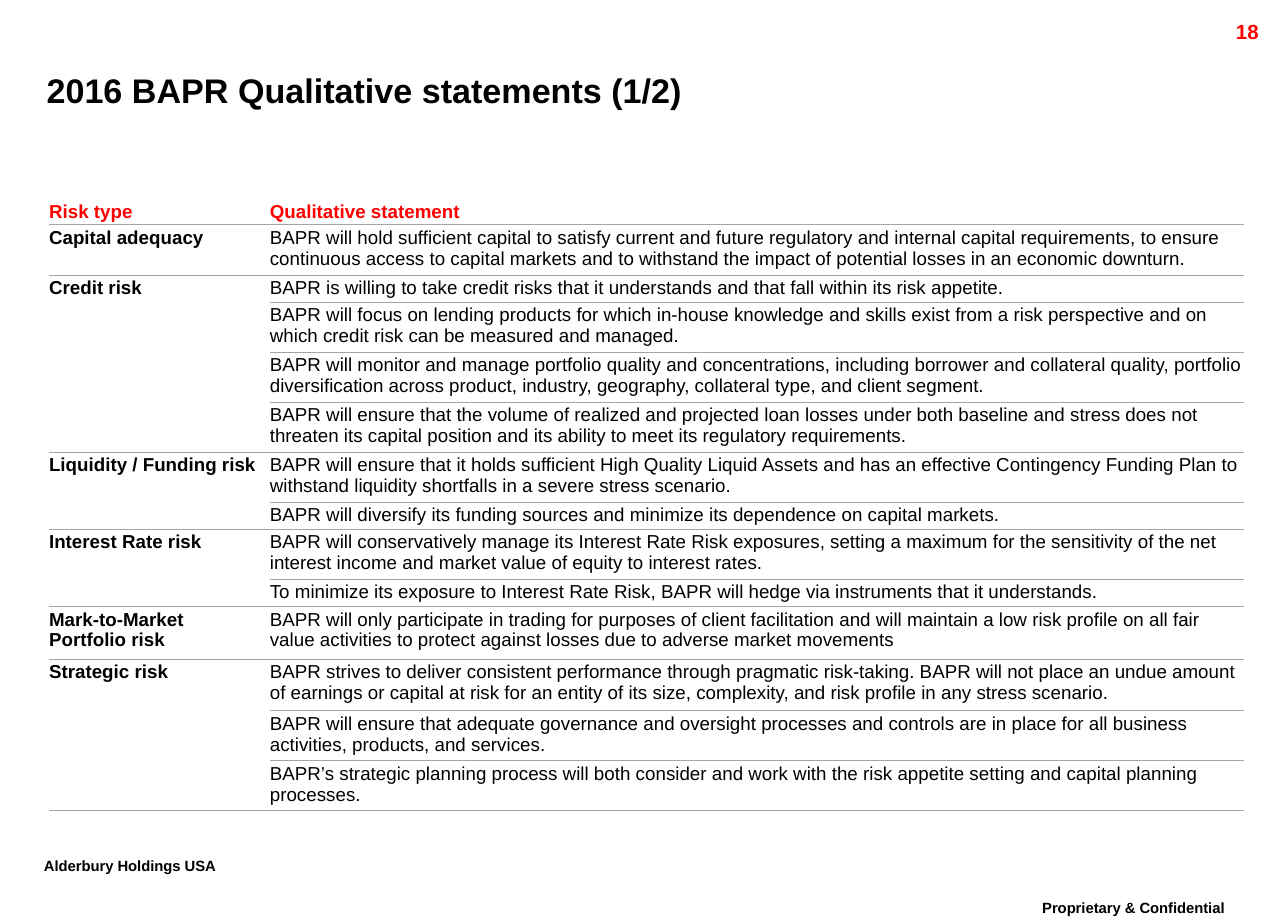
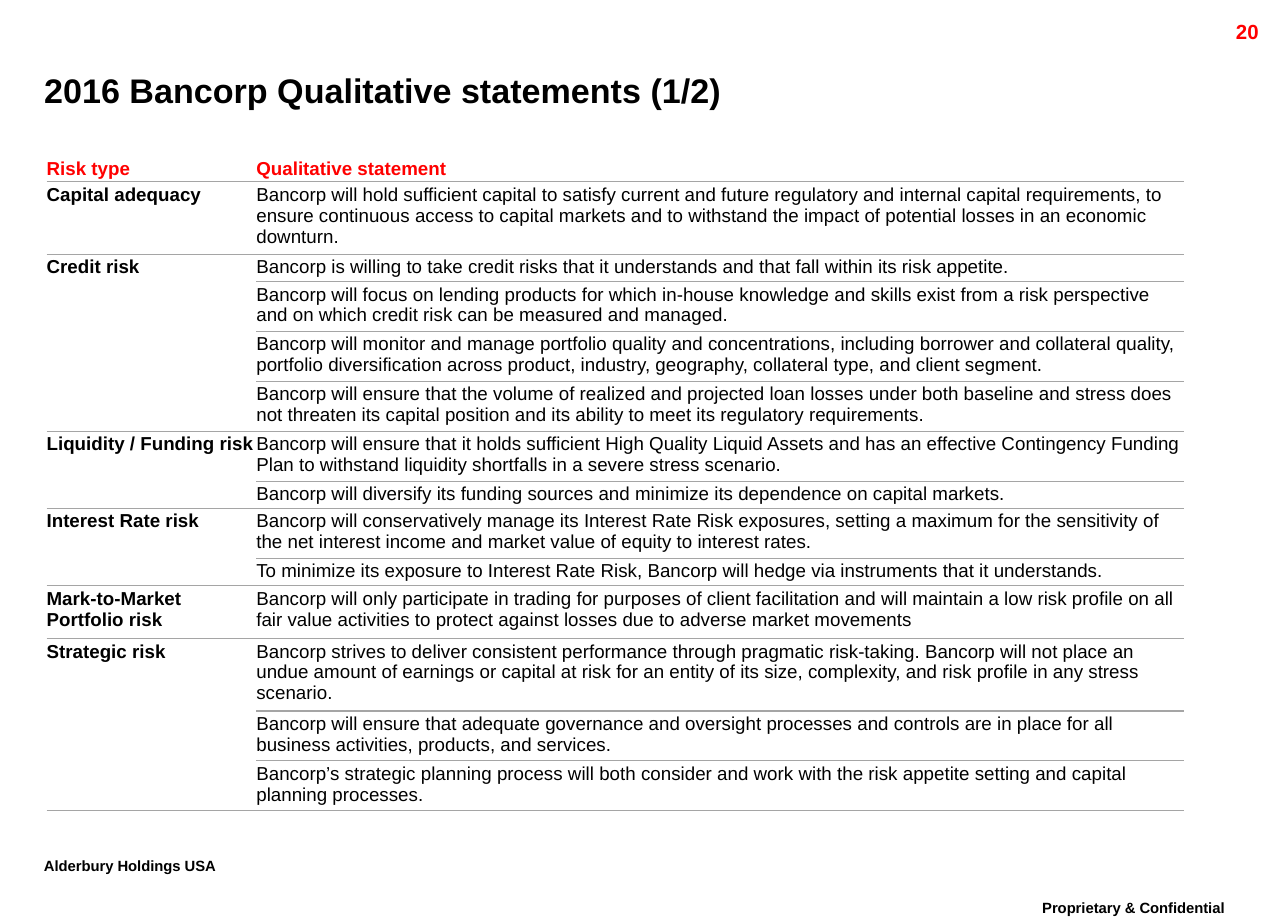
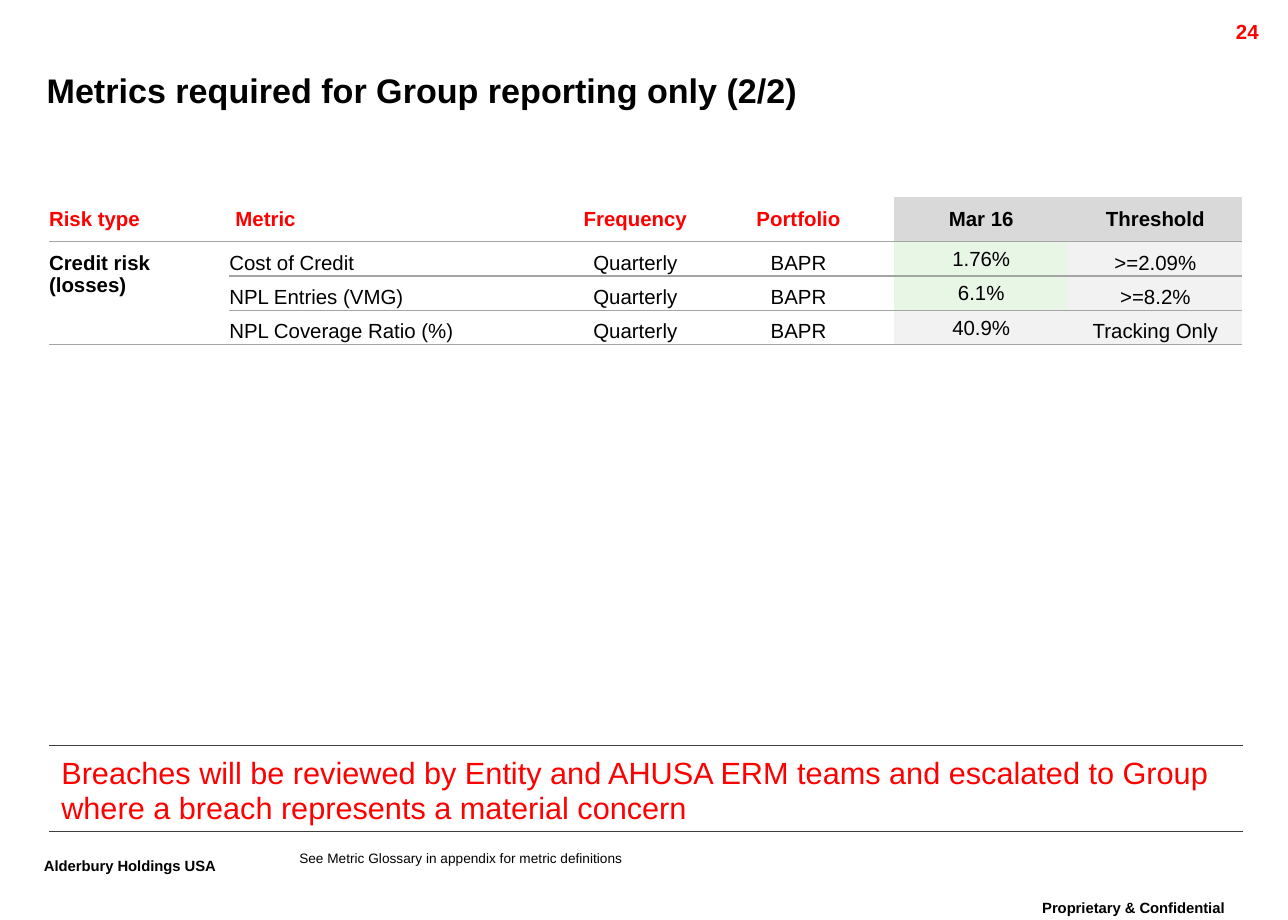
import pptx
import pptx.dml.color
import pptx.enum.text
import pptx.oxml
import pptx.util
from pptx.util import Inches

ALIGN = pptx.enum.text.PP_ALIGN
ANCHOR = pptx.enum.text.MSO_ANCHOR

FONT = "Arial"
BLACK, RED, WHITE = "000000", "FF0000", "FFFFFF"
RULE, DARK_RULE = "A5A5A5", "3F3F3F"
HEADER_GREY, LIGHT_GREY, GREEN = "D9D9D9", "F2F2F2", "E8F6E6"
NO_GRID_STYLE = "{2D5ABB26-0587-4C30-8999-92F81FD0307C}"

COMPANY = "Alderbury Holdings USA"
CONFIDENTIAL = "Proprietary & Confidential"

# Risk type, then (row height, statement) pairs
STATEMENTS = [
    ("Capital adequacy", [
        (0.41, "{bank} will hold sufficient capital to satisfy current and future regulatory and internal capital requirements, to ensure continuous access to capital markets and to withstand the impact of potential losses in an economic downturn."),
    ]),
    ("Credit risk", [
        (0.2, "{bank} is willing to take credit risks that it understands and that fall within its risk appetite."),
        (0.36, "{bank} will focus on lending products for which in-house knowledge and skills exist from a risk perspective and on which credit risk can be measured and managed."),
        (0.36, "{bank} will monitor and manage portfolio quality and concentrations, including borrower and collateral quality, portfolio diversification across product, industry, geography, collateral type, and client segment."),
        (0.36, "{bank} will ensure that the volume of realized and projected loan losses under both baseline and stress does not threaten its capital position and its ability to meet its regulatory requirements."),
    ]),
    ("Liquidity / Funding risk", [
        (0.36, "{bank} will ensure that it holds sufficient High Quality Liquid Assets and has an effective Contingency Funding Plan to withstand liquidity shortfalls in a severe stress scenario."),
        (0.2, "{bank} will diversify its funding sources and minimize its dependence on capital markets."),
    ]),
    ("Interest Rate risk", [
        (0.36, "{bank} will conservatively manage its Interest Rate Risk exposures, setting a maximum for the sensitivity of the net interest income and market value of equity to interest rates."),
        (0.2, "To minimize its exposure to Interest Rate Risk, {bank} will hedge via instruments that it understands."),
    ]),
    ("Mark-to-Market\vPortfolio risk", [
        (0.43, "{bank} will only participate in trading for purposes of client facilitation and will maintain a low risk profile on all fair value activities to protect against losses due to adverse market movements"),
    ]),
    ("Strategic risk", [
        (0.42, "{bank} strives to deliver consistent performance through pragmatic risk-taking. {bank} will not place an undue amount of earnings or capital at risk for an entity of its size, complexity, and risk profile in any stress scenario."),
        (0.36, "{bank} will ensure that adequate governance and oversight processes and controls are in place for all business activities, products, and services."),
        (0.36, "{bank}’s strategic planning process will both consider and work with the risk appetite setting and capital planning processes."),
    ]),
]

STATEMENT_SLIDES = [
    dict(page=18, bank="BAPR", left=0.4, top=1.61, columns=[1.8, 7.94]),
    dict(page=20, bank="Bancorp", left=0.38, top=1.26, columns=[1.71, 7.56]),
]

METRIC_HEADERS = ["Risk type", "Metric", "Frequency", "Portfolio", "Mar 16", "Threshold"]
METRIC_COLUMNS = [1.47, 2.76, 1.1, 1.56, 1.42, 1.42]
METRIC_GROUP = "Credit risk (losses)"
METRICS = [
    ("Cost of Credit", "Quarterly", "BAPR", "1.76%", ">=2.09%"),
    ("NPL Entries (VMG)", "Quarterly", "BAPR", "6.1%", ">=8.2%"),
    ("NPL Coverage Ratio (%)", "Quarterly", "BAPR", "40.9%", "Tracking Only"),
]
BREACH_NOTE = "Breaches will be reviewed by Entity and AHUSA ERM teams and escalated to Group where a breach represents a material concern"
GLOSSARY_NOTE = "See Metric Glossary in appendix for metric definitions"


def rgb(value):
    return pptx.dml.color.RGBColor.from_string(value)


def write(frame, text, size, color=BLACK, bold=False, align=ALIGN.LEFT):
    frame.text = text
    paragraph = frame.paragraphs[0]
    paragraph.alignment = align
    font = paragraph.font
    font.name, font.size, font.bold = FONT, pptx.util.Pt(size), bold
    font.color.rgb = rgb(color)
    return paragraph


def set_margins(target, left, top, right, bottom):
    target.margin_left, target.margin_top = Inches(left), Inches(top)
    target.margin_right, target.margin_bottom = Inches(right), Inches(bottom)


def add_text(slide, box, text, size, margins=None, **style):
    frame = slide.shapes.add_textbox(*map(Inches, box)).text_frame
    frame.word_wrap = True
    if margins:
        set_margins(frame, *margins)
    return write(frame, text, size, **style)


def add_slide(deck, title, page, left=0.38, width=9.48):
    """Add a slide with its title, page number and footers."""
    slide = deck.slides.add_slide(deck.slide_layouts[5])
    heading = slide.shapes.title
    heading.left, heading.top = Inches(left), Inches(0.49)
    heading.width, heading.height = Inches(width), Inches(0.48)
    frame = heading.text_frame
    frame.auto_size = pptx.enum.text.MSO_AUTO_SIZE.NONE
    frame.vertical_anchor = ANCHOR.MIDDLE
    set_margins(frame, 0, 0, 0, 0)
    write(frame, title, 20, bold=True)

    add_text(slide, (9.36, 0.11, 1, 0.24), str(page), 12, color=RED, bold=True, align=ALIGN.RIGHT)
    for box, text, align in [((8.15, 7.25, 2.18, 0.35), CONFIDENTIAL, ALIGN.CENTER),
                             ((0.26, 6.91, 1.91, 0.35), COMPANY, ALIGN.LEFT)]:
        footer = add_text(slide, box, text, 15, bold=True, align=align)
        footer.runs[0]._r.get_or_add_rPr().set("baseline", "30000")
    return slide


def add_table(slide, left, top, columns, rows):
    """Add a table without style; columns and rows are sizes in inches."""
    frame = slide.shapes.add_table(len(rows), len(columns), Inches(left), Inches(top),
                                   Inches(sum(columns)), Inches(sum(rows)))
    table = frame.table
    properties = table._tbl.tblPr
    properties.find(pptx.oxml.ns.qn("a:tableStyleId")).text = NO_GRID_STYLE
    table.first_row = table.horz_banding = False
    for column, width in zip(table.columns, columns):
        column.width = Inches(width)
    for row, height in zip(table.rows, rows):
        row.height = Inches(height)
    return table


def rule(cell, color=RULE, sides=("lnB",)):
    """Draw lines on the given sides; call before the cell is filled."""
    for side in sides:
        cell._tc.get_or_add_tcPr().append(pptx.oxml.parse_xml(
            f'<a:{side} {pptx.oxml.ns.nsdecls("a")} w="9525"><a:solidFill>'
            f'<a:srgbClr val="{color}"/></a:solidFill></a:{side}>'))


def fill_cell(cell, text, size, margins=None, anchor=ANCHOR.TOP, fill=None, **style):
    if margins:
        set_margins(cell, *margins)
    cell.vertical_anchor = anchor
    if fill:
        cell.fill.solid()
        cell.fill.fore_color.rgb = rgb(fill)
    else:
        cell.fill.background()
    write(cell.text_frame, text, size, **style)


def merge_group(table, first, last):
    """Merge the risk type cells of a group, with one line below it."""
    for row in sorted({first, last}):
        rule(table.cell(row, 0))
    if last > first:
        table.cell(first, 0).merge(table.cell(last, 0))
    return table.cell(first, 0)


def add_statements(deck, page, bank, left, top, columns):
    slide = add_slide(deck, f"2016 {bank} Qualitative statements (1/2)", page, left - 0.02)
    heights = [0.2] + [height for _, group in STATEMENTS for height, _ in group]
    table = add_table(slide, left, top, columns, heights)
    style = dict(size=11, margins=(0, 0.02, 0, 0.02))
    for column, header in enumerate(["Risk type", "Qualitative statement"]):
        rule(table.cell(0, column))
        fill_cell(table.cell(0, column), header, anchor=ANCHOR.BOTTOM, color=RED, bold=True, **style)
    row = 1
    for risk, group in STATEMENTS:
        fill_cell(merge_group(table, row, row + len(group) - 1), risk, bold=True, **style)
        for _, statement in group:
            rule(table.cell(row, 1))
            fill_cell(table.cell(row, 1), statement.format(bank=bank), **style)
            row += 1


def add_metrics(deck):
    slide = add_slide(deck, "Metrics required for Group reporting only (2/2)", 24)
    table = add_table(slide, 0.4, 1.61, METRIC_COLUMNS, [0.36] + [0.24] * len(METRICS))
    for column, header in enumerate(METRIC_HEADERS):
        result = column >= 4
        rule(table.cell(0, column))
        fill_cell(table.cell(0, column), header, 12, (0.05 if column else 0, 0.05, 0.05, 0.05),
                  ANCHOR.MIDDLE, HEADER_GREY if result else None,
                  color=BLACK if result else RED, bold=True,
                  align=ALIGN.CENTER if column >= 2 else ALIGN.LEFT)

    plain = (0, 0.08, 0, 0)
    fill_cell(merge_group(table, 1, len(METRICS)), METRIC_GROUP, 12, plain, bold=True)
    for row, metric in enumerate(METRICS, 1):
        tracking = metric[-1] == "Tracking Only"
        fills = {4: LIGHT_GREY if tracking else GREEN, 5: LIGHT_GREY}
        for column, text in enumerate(metric, 1):
            cell = table.cell(row, column)
            rule(cell)
            margins, anchor = plain, ANCHOR.TOP
            if column == 4:
                margins, anchor = (0.01, 0.01, 0.01, 0), ANCHOR.MIDDLE
            fill_cell(cell, text, 12, margins, anchor, fills.get(column),
                      align=ALIGN.CENTER if column >= 2 else ALIGN.LEFT)

    add_text(slide, (2.44, 6.93, 5.47, 0.13), GLOSSARY_NOTE, 8, margins=(0, 0, 0, 0))
    breach = add_table(slide, 0.4, 6.08, [sum(METRIC_COLUMNS)], [0.7]).cell(0, 0)
    rule(breach, DARK_RULE, ("lnT", "lnB"))
    fill_cell(breach, BREACH_NOTE, 18, anchor=ANCHOR.BOTTOM, color=RED)


def main():
    deck = pptx.Presentation()
    deck.slide_width, deck.slide_height = Inches(10.5), Inches(7.5)
    background = deck.slide_master.background.fill
    background.solid()
    background.fore_color.rgb = rgb(WHITE)
    for content in STATEMENT_SLIDES:
        add_statements(deck, **content)
    add_metrics(deck)
    deck.save("out.pptx")


if __name__ == "__main__":
    main()
